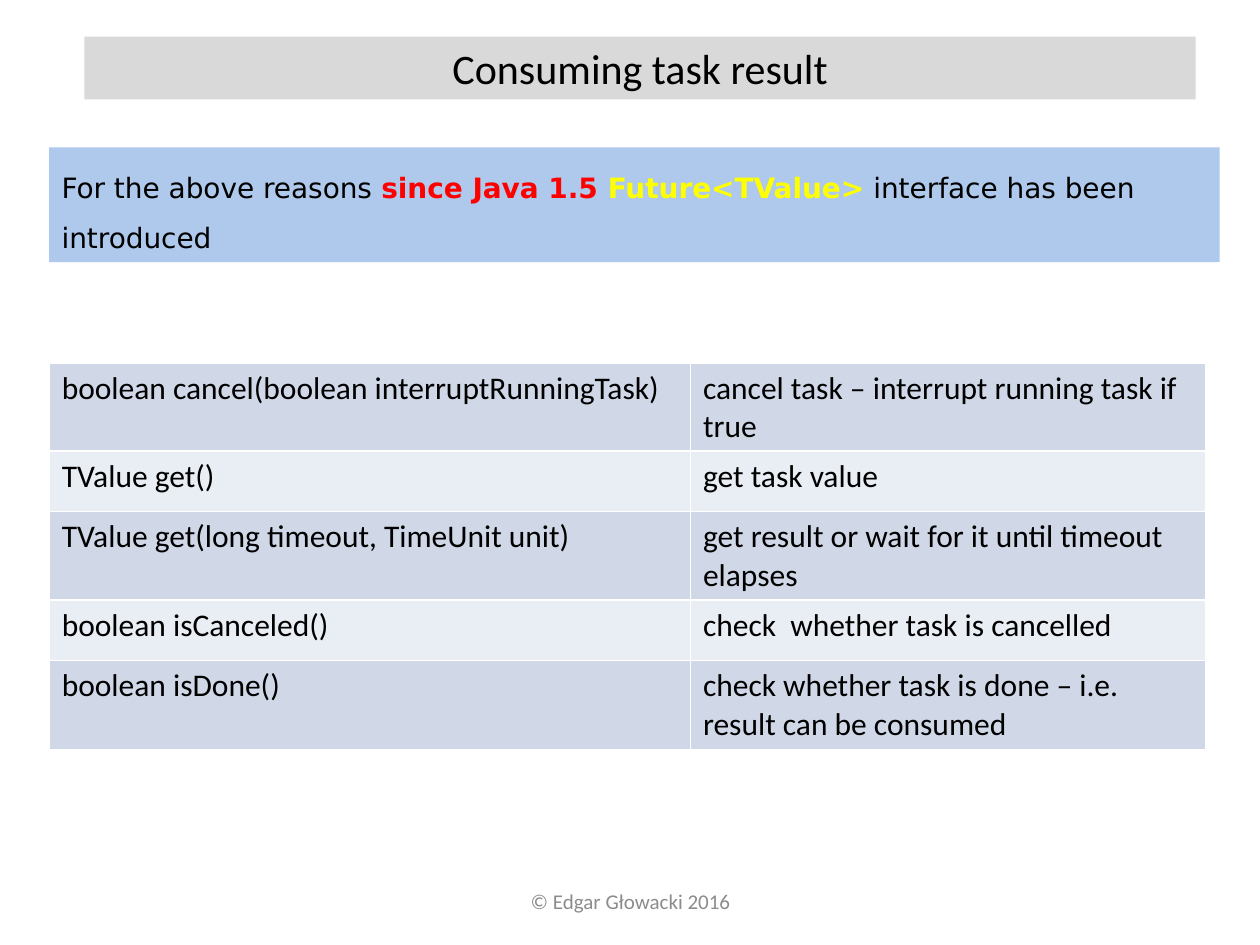
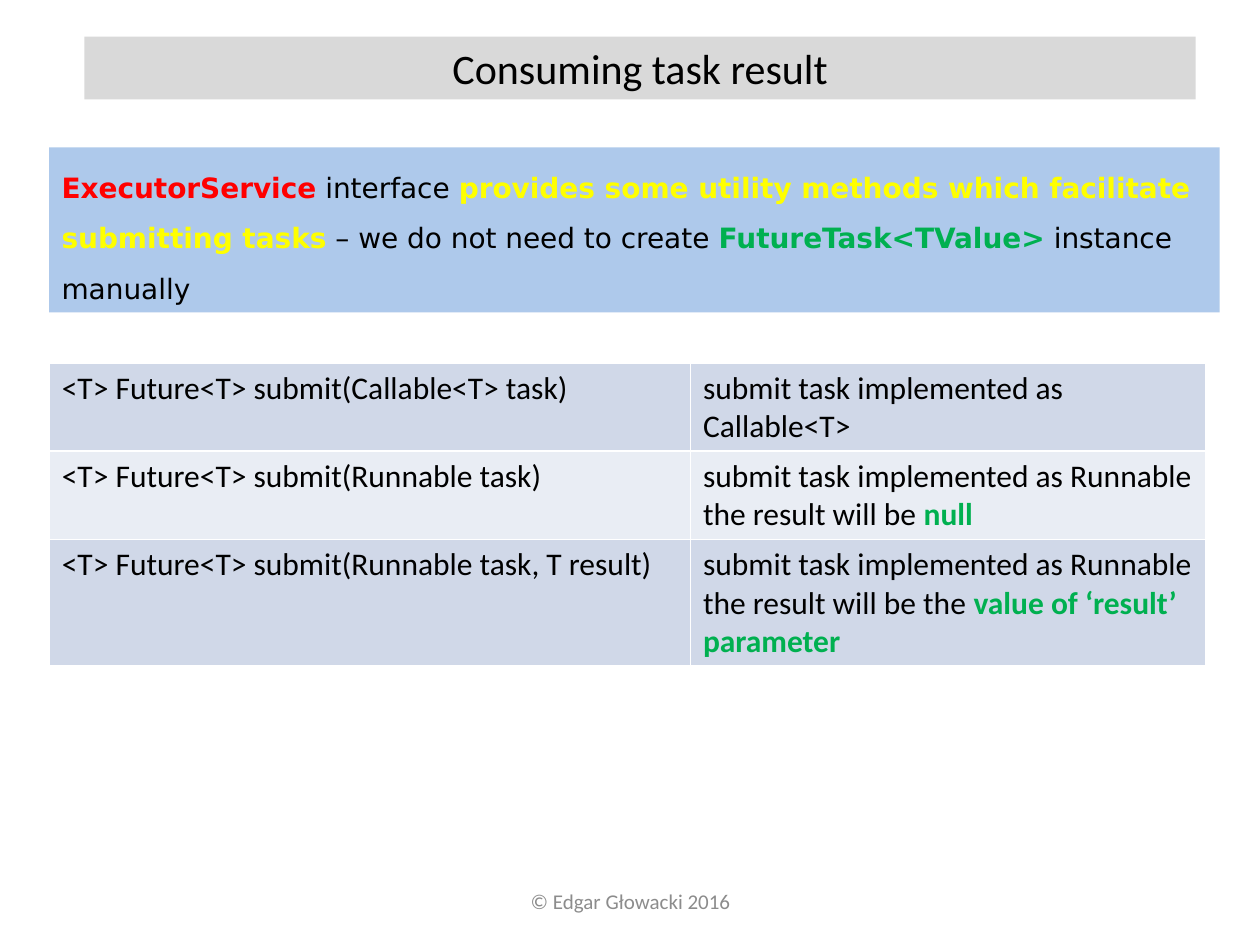
from dataclasses import dataclass

from lxml.etree import SubElement
from pptx import Presentation
from pptx.dml.color import RGBColor
from pptx.enum.shapes import MSO_SHAPE as Preset
from pptx.enum.text import MSO_ANCHOR as Anchor, MSO_AUTO_SIZE as AutoSize, PP_ALIGN as Align
from pptx.oxml import parse_xml
from pptx.oxml.ns import nsdecls, qn
from pptx.util import Inches, Pt

COLOURS = {
    "text": "000000",
    "footer": "8C8C8C",
    "title_band": "D9D9D9",
    "intro_band": "8EB4E3",
    "row_dark": "D0D8E8",
    "row_light": "E9EDF4",
    "border": "FFFFFF",
    "red": "FF0000",
    "yellow": "FFFF00",
    "green": "00B050",
}
BODY_FONT = "Calibri"
INTRO_FONT = "DejaVu Sans"
TITLE = "Consuming task result"
FOOTER = "© Edgar Głowacki 2016"
COLUMN_WIDTHS = (5.09, 4.09)
LEFT_EDGE = 0.39


@dataclass(frozen=True)
class Span:
    text: str
    colour: str = "text"
    bold: bool = False


@dataclass(frozen=True)
class Style:
    font: str
    size: int
    align: Align = Align.LEFT
    line_spacing: float | None = None


@dataclass(frozen=True)
class Method:
    signature: str
    meaning: list[list[Span]]
    height: float


@dataclass(frozen=True)
class Topic:
    intro: list[Span]
    intro_height: float
    methods: list[Method]


TITLE_STYLE = Style(BODY_FONT, 24, Align.CENTER)
INTRO_STYLE = Style(INTRO_FONT, 16, line_spacing=1.5)
CELL_STYLE = Style(BODY_FONT, 18)
FOOTER_STYLE = Style(BODY_FONT, 12, Align.CENTER)

TOPICS = [
    Topic(
        [
            Span("For the above reasons "),
            Span("since Java 1.5 ", "red", True),
            Span("Future<TValue>", "yellow", True),
            Span(" interface has been introduced"),
        ],
        0.91,
        [
            Method("boolean cancel(boolean interruptRunningTask)",
                   [[Span("cancel task – interrupt running task if true")]], 0.61),
            Method("TValue get()", [[Span("get task value")]], 0.48),
            Method("TValue get(long timeout, TimeUnit unit)",
                   [[Span("get result or wait for it until timeout elapses")]], 0.61),
            Method("boolean isCanceled()", [[Span("check  whether task is cancelled")]], 0.48),
            Method("boolean isDone()",
                   [[Span("check whether task is done – i.e. result can be consumed")]], 0.71),
        ],
    ),
    Topic(
        [
            Span("ExecutorService", "red", True),
            Span(" interface "),
            Span("provides some utility methods which facilitate submitting tasks", "yellow", True),
            Span(" – we do not need to create "),
            Span("FutureTask<TValue>", "green", True),
            Span(" instance manually"),
        ],
        1.31,
        [
            Method("<T> Future<T> submit(Callable<T> task)",
                   [[Span("submit task implemented as Callable<T>")]], 0.61),
            Method("<T> Future<T> submit(Runnable task)",
                   [[Span("submit task implemented as Runnable")],
                    [Span("the result will be "), Span("null", "green", True)]], 0.48),
            Method("<T> Future<T> submit(Runnable task, T result)",
                   [[Span("submit task implemented as Runnable")],
                    [Span("the result will be the "),
                     Span("value of ‘result’ parameter", "green", True)]], 0.61),
        ],
    ),
]


def colour(name: str) -> RGBColor:
    return RGBColor.from_string(COLOURS[name])


def write(frame, lines: list[list[Span]], style: Style) -> None:
    frame.word_wrap = True
    for index, line in enumerate(lines):
        para = frame.paragraphs[0] if index == 0 else frame.add_paragraph()
        para.alignment = style.align
        if style.line_spacing:
            para.line_spacing = style.line_spacing
        for span in line:
            run = para.add_run()
            run.text = span.text
            run.font.name = style.font
            run.font.size = Pt(style.size)
            run.font.bold = span.bold
            run.font.color.rgb = colour(span.colour)


def add_band(page, place: tuple, fill: str, spans: list[Span], style: Style,
             opacity: int = 100) -> None:
    band = page.shapes.add_shape(Preset.RECTANGLE, *map(Inches, place))
    band.shadow.inherit = False
    band.line.fill.background()
    band.fill.solid()
    band.fill.fore_color.rgb = colour(fill)
    if opacity < 100:
        tint = band.fill._xPr.find(qn("a:solidFill"))[0]
        SubElement(tint, qn("a:alpha"), val=str(opacity * 1000))
    band.text_frame.vertical_anchor = Anchor.TOP
    band.text_frame.auto_size = AutoSize.SHAPE_TO_FIT_TEXT
    write(band.text_frame, [spans], style)


def add_borders(cell) -> None:
    properties = cell._tc.get_or_add_tcPr()
    for index, side in enumerate(("lnL", "lnR", "lnT", "lnB")):
        properties.insert(index, parse_xml(
            f'<a:{side} {nsdecls("a")} w="{Pt(1)}"><a:solidFill>'
            f'<a:srgbClr val="{COLOURS["border"]}"/></a:solidFill></a:{side}>'))


def add_methods(page, methods: list[Method]) -> None:
    height = sum(method.height for method in methods)
    place = (LEFT_EDGE, 2.88, sum(COLUMN_WIDTHS), height)
    table = page.shapes.add_table(len(methods), len(COLUMN_WIDTHS), *map(Inches, place)).table
    table.first_row = False
    for column, width in zip(table.columns, COLUMN_WIDTHS):
        column.width = Inches(width)
    for index, (row, method) in enumerate(zip(table.rows, methods)):
        row.height = Inches(method.height)
        for cell, lines in zip(row.cells, ([[Span(method.signature)]], method.meaning)):
            cell.fill.solid()
            cell.fill.fore_color.rgb = colour("row_light" if index % 2 else "row_dark")
            add_borders(cell)
            write(cell.text_frame, lines, CELL_STYLE)


def add_footer(page) -> None:
    box = page.shapes.add_textbox(*map(Inches, (3.42, 6.95, 3.17, 0.4)))
    box.text_frame.vertical_anchor = Anchor.MIDDLE
    write(box.text_frame, [[Span(FOOTER, "footer")]], FOOTER_STYLE)


def add_topic(deck, topic: Topic) -> None:
    page = deck.slides.add_slide(deck.slide_layouts[6])
    add_footer(page)
    add_band(page, (0.67, 0.29, 8.82, 0.5), "title_band", [Span(TITLE)], TITLE_STYLE)
    add_band(page, (LEFT_EDGE, 1.17, 9.29, topic.intro_height), "intro_band",
             topic.intro, INTRO_STYLE, opacity=71)
    add_methods(page, topic.methods)


def main() -> None:
    deck = Presentation()
    deck.slide_width = Inches(10)
    deck.slide_height = Inches(7.5)
    for topic in TOPICS:
        add_topic(deck, topic)
    deck.save("out.pptx")


if __name__ == "__main__":
    main()
